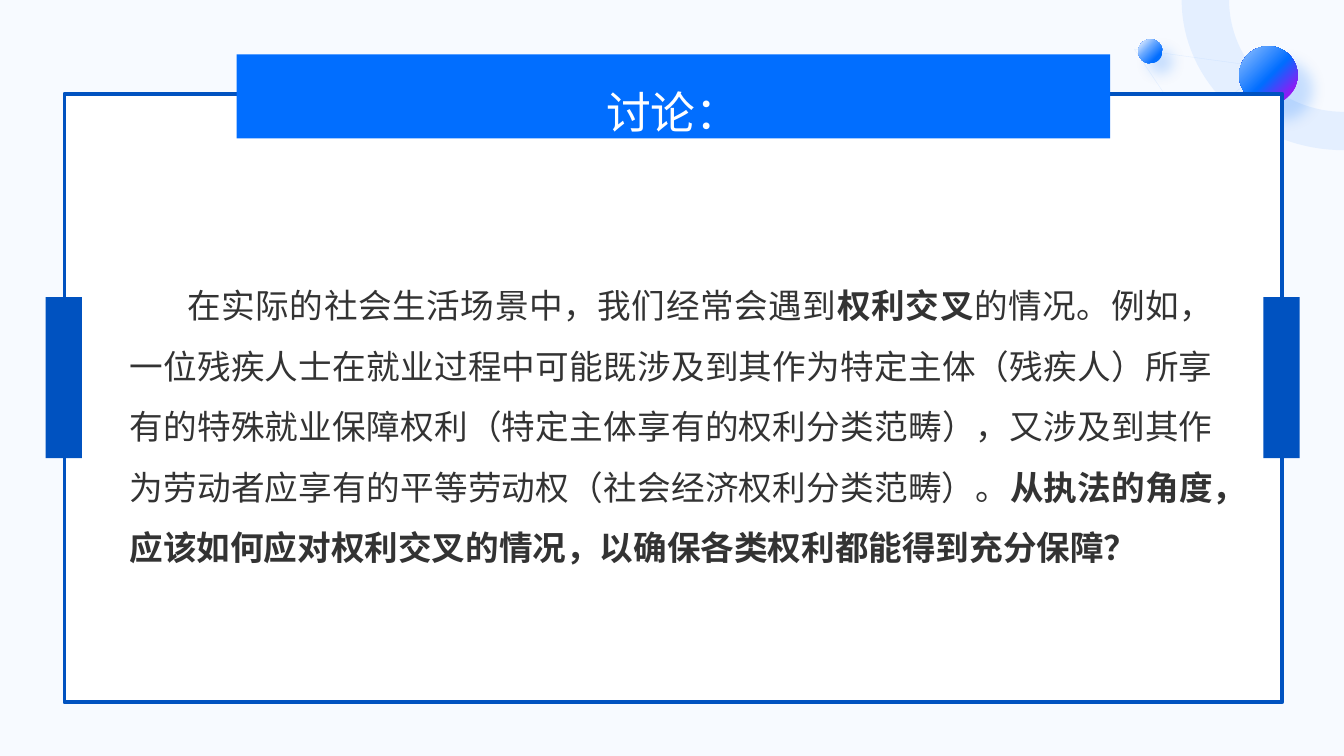
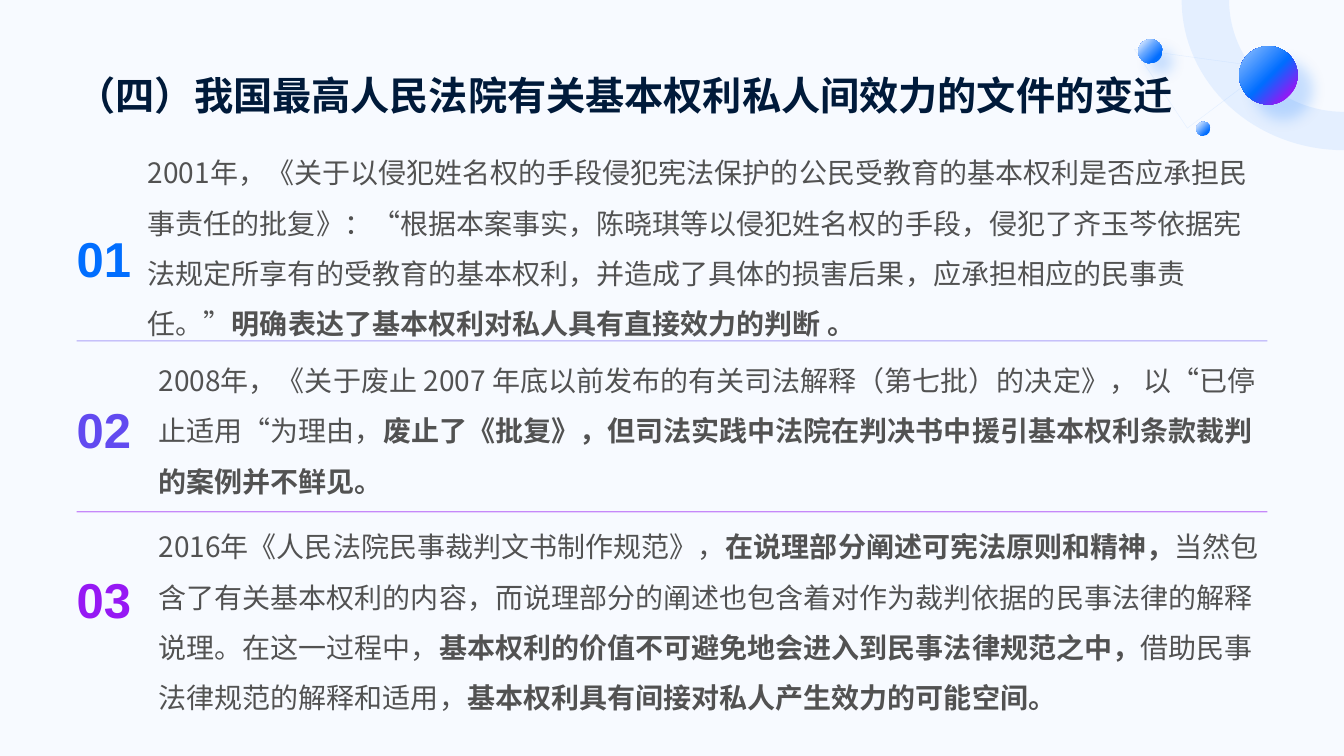
from dataclasses import dataclass
from math import cos, pi, sin
from typing import NamedTuple

from lxml.etree import SubElement
from pptx import Presentation
from pptx.dml.color import RGBColor
from pptx.enum.shapes import MSO_CONNECTOR as Conn, MSO_SHAPE as Geo
from pptx.enum.text import MSO_ANCHOR as Anchor, PP_ALIGN as Align
from pptx.oxml import parse_xml
from pptx.oxml.ns import nsdecls, qn
from pptx.util import Inches, Pt

W, H = Inches(13.333), Inches(7.5)
CJK, LATIN = "Noto Sans CJK SC", "Arial"
COLORS = {
    "page": "F7FAFF", "panel": "FFFFFF", "navy": "001A3A", "deep": "0052C0",
    "blue": "016EFF", "indigo": "624AF0", "purple": "9618F4", "mid": "67A8FF",
    "sky": "99C5FF", "pale": "CCE2FF", "ink": "333333", "gray": "525252",
}


class Box(NamedTuple):
    """Percentages of the slide's width and height."""
    x: float
    y: float
    w: float
    h: float

    def emu(self) -> tuple[int, int, int, int]:
        return px(self.x), py(self.y), px(self.w), py(self.h)


class Stop(NamedTuple):
    pos: int
    color: str
    alpha: int = 100


@dataclass(frozen=True)
class Style:
    size: float
    color: str
    font: str = CJK
    bold: bool = False
    align: Align = Align.LEFT
    anchor: Anchor = Anchor.MIDDLE
    insets: tuple[float, float, float, float] = (0, 0, 0, 0)
    spacing: float = 1.0
    indent: float = 0


@dataclass(frozen=True)
class Orb:
    x: float
    y: float
    size: float
    stops: tuple[Stop, ...]
    shadow: int = 0


@dataclass(frozen=True)
class Entry:
    color: str
    box: Box
    texts: tuple[str, ...]


TITLE = Style(28, "navy", LATIN, True, anchor=Anchor.BOTTOM)
BANNER = Style(32, "panel", LATIN, align=Align.CENTER, anchor=Anchor.BOTTOM)
BODY = Style(24, "ink", align=Align.JUSTIFY, insets=(0.1, 0.05, 0.1, 0.05),
             spacing=1.5, indent=4.3)
ENTRY = Style(20, "gray", insets=(0, 0, 0, 0.08), spacing=1.5)
NUMBER = Style(35, "blue", LATIN, True, insets=(0, 0.04, 0, 0))

ORBS = (
    Orb(92.2, 6.1, 4.35, (Stop(0, "sky"), Stop(52, "blue"), Stop(85, "purple")), 15),
    Orb(84.7, 5.2, 1.8, (Stop(12, "pale"), Stop(40, "mid"), Stop(75, "blue")), 10),
    Orb(89, 16.1, 1.05, (Stop(13, "pale"), Stop(75, "blue"))),
)
TRIANGLE = [(84.4, 6.5), (94.35, 8.95), (88.35, 16.95)]

DISCUSSION = (
    "在实际的社会生活场景中，我们经常会遇到",
    "权利交叉",
    "的情况。例如，一位残疾人士在就业过程中可能既涉及到其作为特定主体（残疾人）所享有的特殊就业保障权利"
    "（特定主体享有的权利分类范畴），又涉及到其作为劳动者应享有的平等劳动权（社会经济权利分类范畴）。",
    "从执法的角度，应该如何应对权利交叉的情况，以确保各类权利都能得到充分保障？",
)
ENTRIES = (
    Entry("blue", Box(11, 19.4, 83.3, 25.7), (
        "2001年，《关于以侵犯姓名权的手段侵犯宪法保护的公民受教育的基本权利是否应承担民事责任的批复》："
        "“根据本案事实，陈晓琪等以侵犯姓名权的手段，侵犯了齐玉芩依据宪法规定所享有的受教育的基本权利，"
        "并造成了具体的损害后果，应承担相应的民事责任。”",
        "明确表达了基本权利对私人具有直接效力的判断 。",
    )),
    Entry("indigo", Box(11.8, 45.1, 82.5, 22.6), (
        "2008年，《关于废止 2007 年底以前发布的有关司法解释（第七批）的决定》， 以“已停止适用“为理由，",
        "废止了《批复》，但司法实践中法院在判决书中援引基本权利条款裁判的案例并不鲜见。",
    )),
    Entry("purple", Box(11.8, 67.7, 82.5, 28), (
        "2016年《人民法院民事裁判文书制作规范》，",
        "在说理部分阐述可宪法原则和精神，",
        "当然包含了有关基本权利的内容，而说理部分的阐述也包含着对作为裁判依据的民事法律的解释说理。在这一过程中，",
        "基本权利的价值不可避免地会进入到民事法律规范之中，",
        "借助民事法律规范的解释和适用，",
        "基本权利具有间接对私人产生效力的可能空间。",
    )),
)
LEFT, RIGHT, TOP, STEP = 5.7, 94.3, 22.5, 22.6


def px(share: float) -> int:
    return round(W * share / 100)


def py(share: float) -> int:
    return round(H * share / 100)


def rgb(name: str) -> RGBColor:
    return RGBColor.from_string(COLORS[name])


def set_alpha(el, percent: int) -> None:
    for clr in el.iter(qn("a:srgbClr")):
        SubElement(clr, qn("a:alpha")).set("val", str(percent * 1000))


def gradient(stops: tuple[Stop, ...], direction: str):
    items = "".join(
        f'<a:gs pos="{g.pos * 1000}"><a:srgbClr val="{COLORS[g.color]}">'
        f'<a:alpha val="{g.alpha * 1000}"/></a:srgbClr></a:gs>' for g in stops)
    return parse_xml(f'<a:gradFill {nsdecls("a")} rotWithShape="1">'
                     f'<a:gsLst>{items}</a:gsLst>{direction}</a:gradFill>')


def paint(sp, fill: str = "", line: str = "", width: float = 0) -> None:
    sp.shadow.inherit = False
    if fill:
        sp.fill.solid()
        sp.fill.fore_color.rgb = rgb(fill)
    else:
        sp.fill.background()
    if line:
        sp.line.color.rgb = rgb(line)
        sp.line.width = Pt(width)
    else:
        sp.line.fill.background()


def add_rect(s, box: Box, fill: str, line: str = "", width: float = 0):
    sp = s.shapes.add_shape(Geo.RECTANGLE, *box.emu())
    paint(sp, fill, line, width)
    return sp


def add_outline(s, points: list[tuple[float, float]]):
    start, *rest = [(px(x), py(y)) for x, y in points]
    builder = s.shapes.build_freeform(*start)
    builder.add_line_segments(rest, close=True)
    return builder.convert_to_shape()


def quarter(rx: float, ry: float, steps: int = 32) -> list[tuple[float, float]]:
    angles = [pi / 2 * i / steps for i in range(steps + 1)]
    return [(100 - rx * cos(a), ry * sin(a)) for a in angles]


def add_orb(s, orb: Orb) -> None:
    sp = s.shapes.add_shape(Geo.OVAL, px(orb.x), py(orb.y), px(orb.size), px(orb.size))
    paint(sp)
    pr = sp.element.spPr
    corner = '<a:path path="circle"><a:fillToRect r="100000" b="100000"/></a:path>'
    pr.replace(pr.find(qn("a:noFill")), gradient(orb.stops, corner))
    if orb.shadow:
        shadow = parse_xml(
            f'<a:outerShdw {nsdecls("a")} blurRad="{Pt(10)}" dist="{Pt(orb.shadow)}" '
            f'dir="2700000" algn="tl" rotWithShape="0"><a:srgbClr val="{COLORS["blue"]}"/>'
            '</a:outerShdw>')
        set_alpha(shadow, 20)
        pr.find(qn("a:effectLst")).append(shadow)


def add_backdrop(s, orbs: tuple[Orb, ...]) -> None:
    s.background.fill.solid()
    s.background.fill.fore_color.rgb = rgb("page")
    triangle = add_outline(s, TRIANGLE)
    paint(triangle, line="pale", width=0.25)
    set_alpha(triangle.element.spPr, 50)
    ring = add_outline(s, quarter(12.08, 19.87) + quarter(8.55, 14.8)[::-1])
    paint(ring, "sky")
    set_alpha(ring.element.spPr, 20)
    for orb in orbs:
        add_orb(s, orb)


def write(sp, texts: tuple[str, ...], st: Style) -> None:
    tf = sp.text_frame
    tf.word_wrap = True
    tf.vertical_anchor = st.anchor
    tf.margin_left, tf.margin_top, tf.margin_right, tf.margin_bottom = map(Inches, st.insets)
    p = tf.paragraphs[0]
    p.alignment = st.align
    p.line_spacing = st.spacing
    if st.indent:
        p._p.get_or_add_pPr().set("indent", str(px(st.indent)))
    for i, text in enumerate(texts):
        r = p.add_run()
        r.text = text
        r.font.size = Pt(st.size)
        r.font.name = st.font
        r.font.bold = st.bold or i % 2 == 1
        r.font.color.rgb = rgb(st.color)
        SubElement(r.font._element, qn("a:ea")).set("typeface", CJK)


def add_text(s, box: Box, texts: tuple[str, ...], st: Style):
    sp = s.shapes.add_textbox(*box.emu())
    write(sp, texts, st)
    return sp


def add_number(s, index: int, color: str) -> None:
    box = Box(LEFT, TOP + index * STEP, 6.1, STEP)
    sp = add_text(s, box, (f"{index + 1:02}",), NUMBER)
    pr = sp.text_frame.paragraphs[0].runs[0].font._element
    fade = gradient((Stop(0, color), Stop(100, color, 70)), '<a:lin ang="5400000" scaled="0"/>')
    pr.replace(pr.find(qn("a:solidFill")), fade)


def add_divider(s, y: float, color: str) -> None:
    line = s.shapes.add_connector(Conn.STRAIGHT, px(LEFT), py(y), px(RIGHT), py(y))
    line.line.color.rgb = rgb(color)
    line.line.width = Pt(0.8)
    set_alpha(line.element.spPr, 50)
    SubElement(line.element.spPr, qn("a:effectLst"))


def discussion_slide(s) -> None:
    add_backdrop(s, ORBS[:2])
    add_rect(s, Box(4.8, 12.4, 90.6, 80.5), "panel", "deep", 2.75)
    for x in (3.4, 94):
        add_rect(s, Box(x, 39.3, 2.7, 21.3), "deep")
    add_text(s, Box(8.9, 21.7, 82.1, 66.7), DISCUSSION, BODY)
    write(add_rect(s, Box(17.6, 7.2, 65, 11.1), "blue"), ("讨论：",), BANNER)


def documents_slide(s) -> None:
    add_backdrop(s, ORBS)
    title = "（四）我国最高人民法院有关基本权利私人间效力的文件的变迁"
    add_text(s, Box(LEFT, 5.2, RIGHT - LEFT, 10.5), (title,), TITLE)
    for i, entry in enumerate(ENTRIES):
        add_number(s, i, entry.color)
        add_text(s, entry.box, entry.texts, ENTRY)
        if i:
            add_divider(s, TOP + i * STEP, entry.color)


def main() -> None:
    prs = Presentation()
    prs.slide_width, prs.slide_height = W, H
    for build in (discussion_slide, documents_slide):
        build(prs.slides.add_slide(prs.slide_layouts[6]))
    prs.save("out.pptx")


if __name__ == "__main__":
    main()
